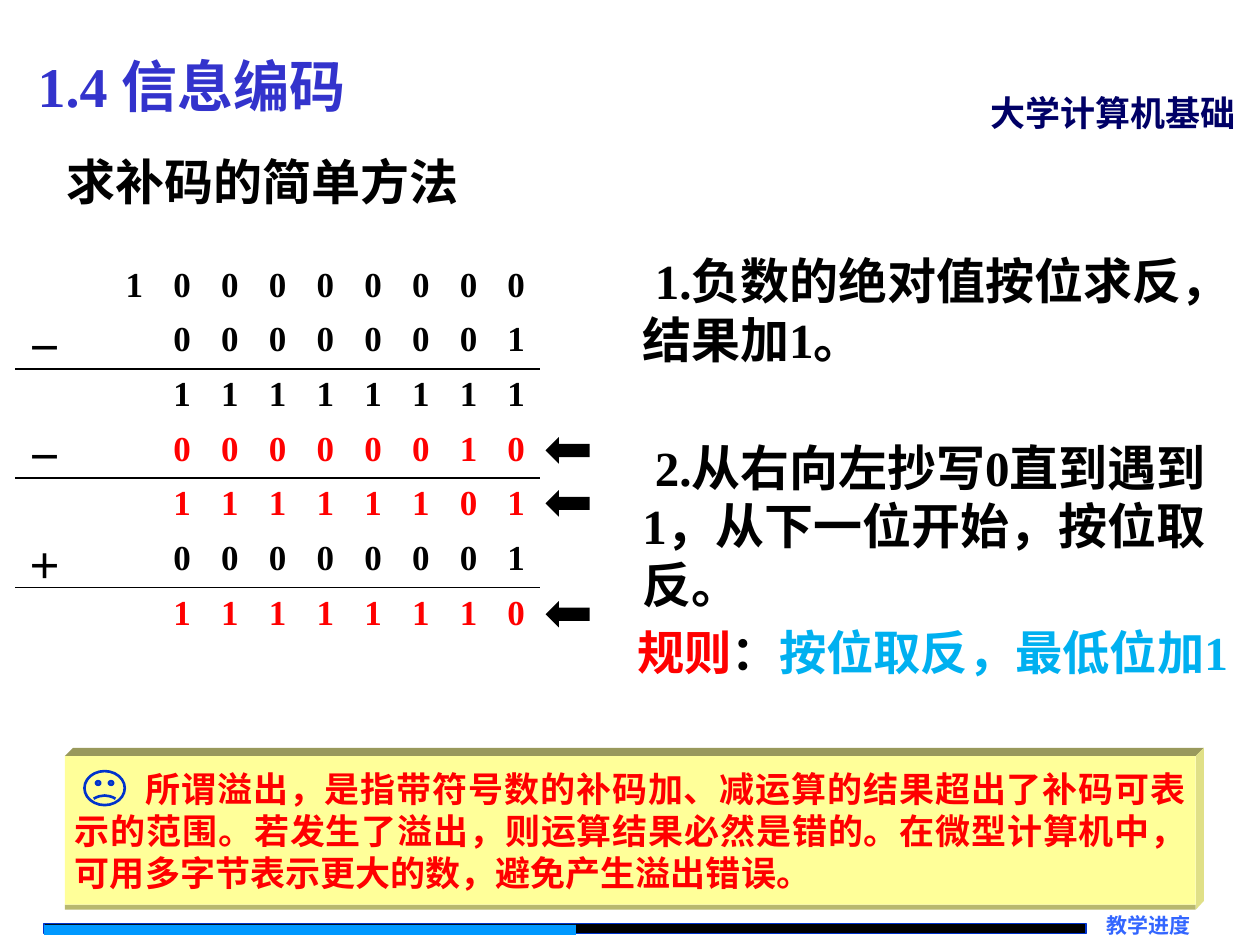
from lxml.etree import SubElement
from pptx import Presentation
from pptx.dml.color import RGBColor
from pptx.enum.shapes import MSO_SHAPE
from pptx.enum.text import MSO_ANCHOR, PP_ALIGN
from pptx.oxml import parse_xml
from pptx.oxml.ns import nsdecls, qn
from pptx.util import Inches, Pt

COLORS = {
    "black": "000000", "red": "FF0000", "sky": "00B0F0", "title": "3333CC",
    "navy": "000066", "link": "3366FF", "line": "0033CC", "bar": "0099FF",
    "note": "FFFF99", "note_top": "99995C", "note_right": "E0E087", "note_bottom": "B8B86E",
}
COLS, ROWS = 100, 75


class Deck:
    """Style and current slide; lengths are columns and rows of the grid."""

    font = "Times New Roman"

    def __init__(self):
        self.prs = Presentation()
        self.prs.slide_width, self.prs.slide_height = Inches(10), Inches(7.5)
        self.s = self.prs.slides.add_slide(self.prs.slide_layouts[6])

    def x(self, cols):
        return round(self.prs.slide_width * cols / COLS)

    def y(self, rows):
        return round(self.prs.slide_height * rows / ROWS)

    def box(self, left, top, width, height):
        return self.x(left), self.y(top), self.x(width), self.y(height)

    def color(self, name):
        return RGBColor.from_string(COLORS[name])

    def run(self, p, text, size, color):
        r = p.add_run()
        r.text = text
        r.font.name, r.font.size, r.font.bold = self.font, Pt(size), True
        r.font.color.rgb = self.color(color)

    def paragraph(self, tf, runs, align=PP_ALIGN.LEFT, indent=0, inset=None, wrap=True):
        """Fill a frame with one paragraph of (text, size, color) runs."""
        tf.word_wrap = wrap
        if inset is not None:
            tf.margin_left = tf.margin_right = self.x(inset)
            tf.margin_top = tf.margin_bottom = self.y(inset)
        p = tf.paragraphs[0]
        p.alignment = align
        if indent:
            p._p.get_or_add_pPr().set("indent", str(self.x(indent)))
        for run in runs:
            self.run(p, *run)

    def text(self, at, *runs, **style):
        sp = self.s.shapes.add_textbox(*self.box(*at))
        self.paragraph(sp.text_frame, runs, **style)

    def paint(self, sp, fill, line=None, weight=0.75):
        sp.shadow.inherit = False
        sp.fill.solid()
        sp.fill.fore_color.rgb = self.color(fill)
        if line:
            sp.line.color.rgb = self.color(line)
            sp.line.width = Pt(weight)
        else:
            sp.line.fill.background()
        return sp

    def shape(self, kind, at, fill, line=None, weight=0.75):
        sp = self.s.shapes.add_shape(kind, *self.box(*at))
        return self.paint(sp, fill, line, weight)

    def polygon(self, points, fill):
        start, *rest = [(self.x(a), self.y(b)) for a, b in points]
        builder = self.s.shapes.build_freeform(*start)
        builder.add_line_segments(rest)
        self.paint(builder.convert_to_shape(), fill)

    def borders(self, cell, bottom):
        tc_pr = cell._tc.get_or_add_tcPr()
        for i, side in enumerate(("lnL", "lnR", "lnT", "lnB")):
            ruled = bottom and side == "lnB"
            ln = parse_xml(f'<a:{side} {nsdecls("a")} w="{Pt(1) if ruled else 0}"/>')
            if ruled:
                fill = SubElement(ln, qn("a:solidFill"))
                SubElement(fill, qn("a:srgbClr")).set("val", COLORS["black"])
            else:
                SubElement(ln, qn("a:noFill"))
            tc_pr.insert(i, ln)

    def arithmetic(self, at, rows, size=20):
        """Column sums: each row is (sign, digits, color); signed rows are underlined."""
        count = 11
        table = self.s.shapes.add_table(len(rows), count, *self.box(*at)).table
        table.first_row = table.horz_banding = False
        for row, (sign, digits, color) in enumerate(rows):
            chars = sign.ljust(count - len(digits)) + digits
            for col, char in enumerate(chars):
                cell = table.cell(row, col)
                cell.fill.background()
                self.borders(cell, bottom=bool(sign))
                p = cell.text_frame.paragraphs[0]
                p.alignment = PP_ALIGN.CENTER
                if char != " ":
                    self.run(p, char, size, "black" if char == sign else color)


def main():
    d = Deck()
    d.shape(MSO_SHAPE.RECTANGLE, (3.5, 73.3, 82.7, 0.8), "black", "line")
    d.shape(MSO_SHAPE.RECTANGLE, (3.5, 73.4, 42.2, 0.8), "bar")
    d.text((86.2, 72.4, 8.3, 2.1), ("教学进度", 12, "link"),
           align=PP_ALIGN.RIGHT, inset=0, wrap=False)
    d.text((77.6, 6.8, 22.4, 4.3), ("大学计算机基础", 20, "navy"))
    d.text((2, 3.6, 45.7, 6.3), ("1.4 信息编码", 32, "title"))
    d.text((4.3, 11.5, 46.5, 5.7), ("求补码的简单方法", 28, "black"))

    d.arithmetic((1.2, 20.6, 41.7, 30.3), [
        ("", "100000000", "black"),
        ("－", "00000001", "black"),
        ("", "11111111", "black"),
        ("－", "00000010", "red"),
        ("", "11111101", "red"),
        ("＋", "00000001", "black"),
        ("", "11111110", "red"),
    ])
    for top in (34.7, 38.9, 47.7):
        d.shape(MSO_SHAPE.LEFT_ARROW, (43.3, top, 3.5, 2.1), "black")

    for top, step in ((19.4, "1.负数的绝对值按位求反，结果加1。"),
                      (34.2, "2.从右向左抄写0直到遇到1，从下一位开始，按位取反。")):
        d.text((50, top, 50, 10.4), (step, 28, "black"), indent=1)
    d.text((48.6, 49, 51.4, 5.7), ("规则", 27, "red"), ("：", 27, "black"),
           ("按位取反，最低位加1", 27, "sky"), indent=1)

    left, right, top, bottom, depth = 5.15, 94.9, 60, 71.8, 0.65
    d.polygon([(left, top), (left + depth, top - depth),
               (right + depth, top - depth), (right, top)], "note_top")
    d.polygon([(right, top), (right + depth, top - depth),
               (right + depth, bottom - 0.3), (right, bottom + 0.4)], "note_right")
    d.shape(MSO_SHAPE.RECTANGLE, (left, bottom, right - left, 0.4), "note_bottom")
    note = d.shape(MSO_SHAPE.RECTANGLE, (left, top, right - left, bottom - top), "note")
    note.text_frame.vertical_anchor = MSO_ANCHOR.MIDDLE
    d.paragraph(note.text_frame, [(
        "所谓溢出，是指带符号数的补码加、减运算的结果超出了补码可表示的范围。"
        "若发生了溢出，则运算结果必然是错的。在微型计算机中，"
        "可用多字节表示更大的数，避免产生溢出错误。", 20, "red")],
        align=PP_ALIGN.JUSTIFY, indent=5.6, inset=0.8)
    face = d.shape(MSO_SHAPE.SMILEY_FACE, (6.7, 61.2, 3.2, 2.7), "note", "line", 1.5)
    face.adjustments[0] = -0.05

    d.prs.save("out.pptx")


if __name__ == "__main__":
    main()
